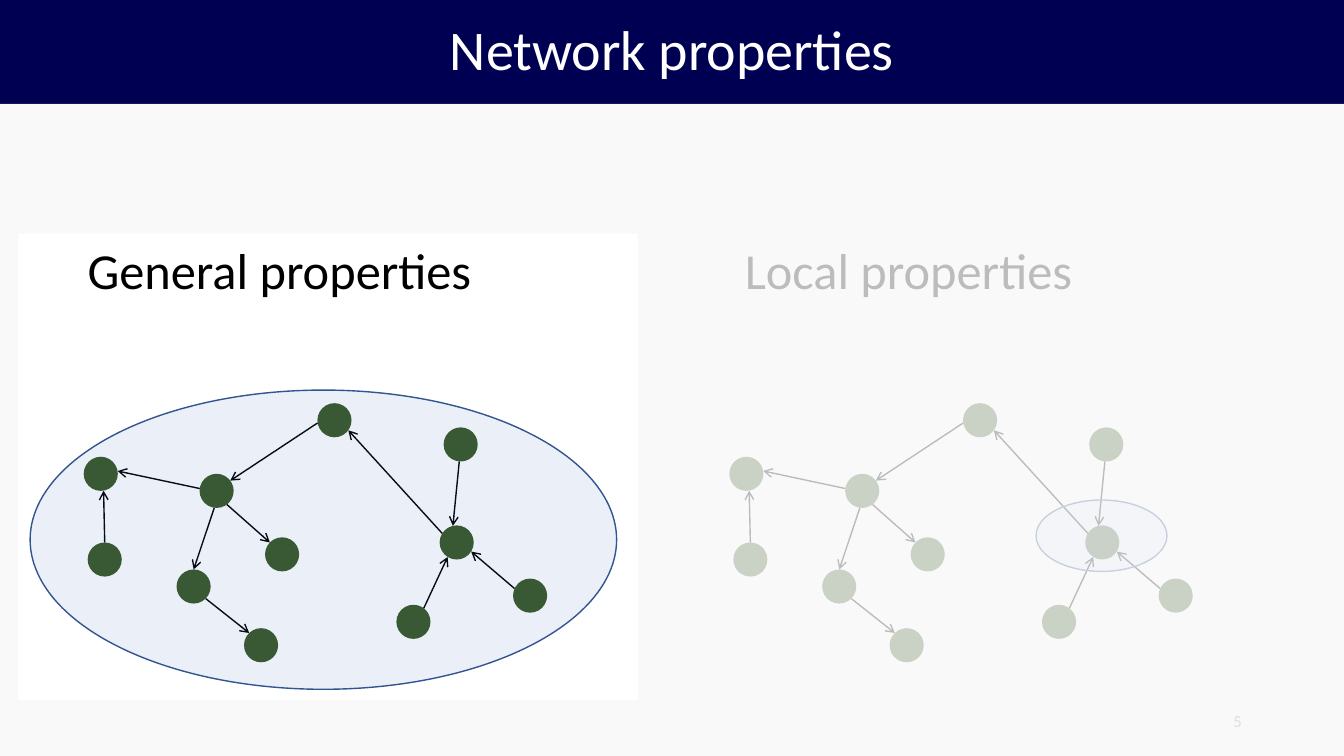
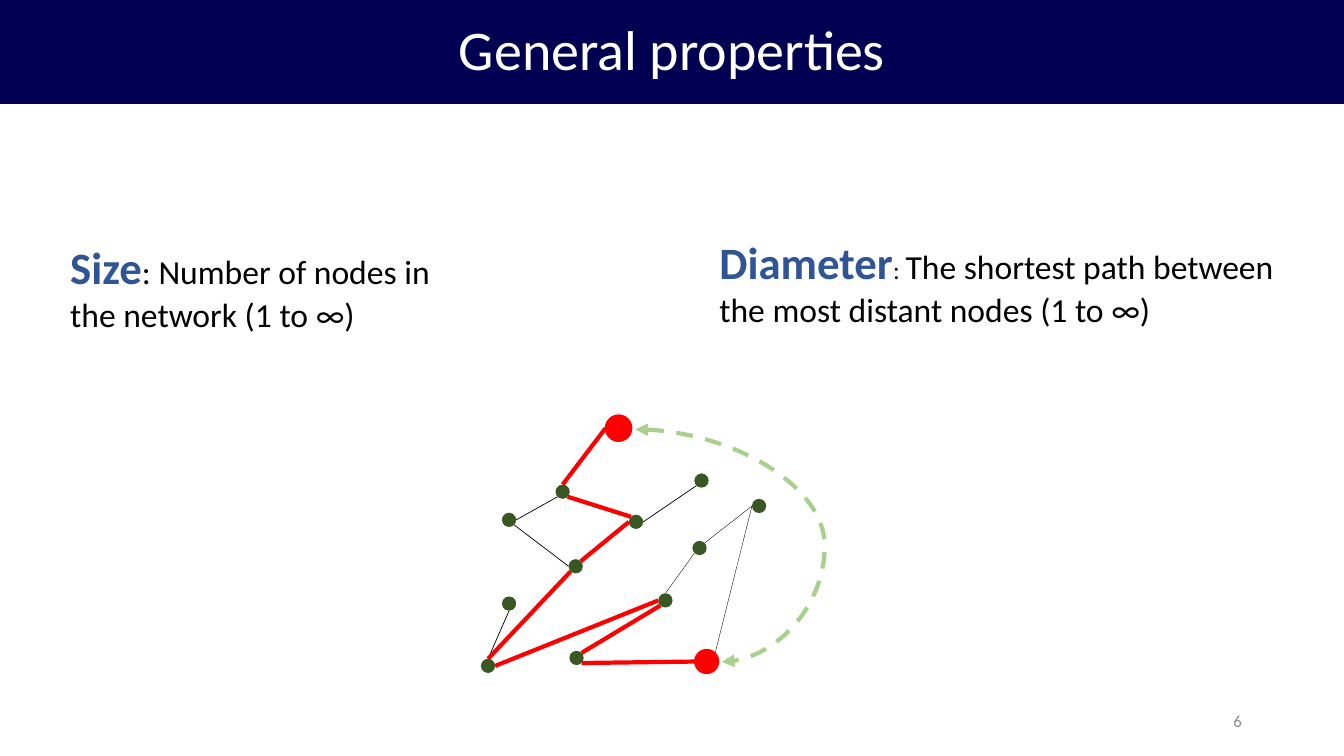
from math import atan2, cos, degrees, radians, sin

from lxml import etree
from pptx import Presentation
from pptx.dml.color import RGBColor
from pptx.enum.dml import MSO_LINE
from pptx.enum.shapes import MSO_CONNECTOR, MSO_SHAPE
from pptx.enum.text import MSO_ANCHOR, PP_ALIGN
from pptx.oxml.ns import qn
from pptx.util import Cm, Pt

OVAL = MSO_SHAPE.OVAL
STRAIGHT, CURVE = MSO_CONNECTOR.STRAIGHT, MSO_CONNECTOR.CURVE
LEFT, CENTER, RIGHT = PP_ALIGN.LEFT, PP_ALIGN.CENTER, PP_ALIGN.RIGHT
TOP, MIDDLE = MSO_ANCHOR.TOP, MSO_ANCHOR.MIDDLE
DASH = MSO_LINE.DASH

COLORS = {
    "band": "000053", "white": "FFFFFF", "black": "000000", "node": "385723",
    "term": "2F5597", "number": "8C8C8C", "path": "FF0000", "arc": "A9D18E",
    "halo": "4472C4", "halo_line": "325491", "veil": "F8F8F8",
}
FONT = "Calibri"
PAGE_WIDTH, PAGE_HEIGHT, BAND_HEIGHT = 33.87, 19.05, 2.62
TITLE_ONLY = 5

# Directed network: centre x, centre y, rotation in degrees
NODE_RADIUS = 0.43
DIRECTED_NODES = {
    "west": (0.43, 1.78, -9.5), "southwest": (0.53, 3.94, 0),
    "left hub": (3.35, 2.21, 53), "below": (2.77, 4.62, 0),
    "bottom": (4.47, 6.1, 315.8), "inner": (5, 3.81, 314.1),
    "summit": (6.32, 0.43, 261), "right hub": (9.4, 3.51, 347.1),
    "south": (8.31, 5.51, 307.2), "north": (9.5, 1.04, 4.7),
    "east": (11.25, 4.85, 24.5),
}
DIRECTED_EDGES = [
    ("left hub", "west"), ("southwest", "west"), ("left hub", "below"),
    ("left hub", "inner"), ("summit", "left hub"), ("below", "bottom"),
    ("right hub", "summit"), ("south", "right hub"), ("north", "right hub"),
    ("east", "right hub"),
]

# Undirected network: centre x, centre y, radius
DOT, START, END = 0.18, 0.33, 0.3
PATH_NODES = {
    "start": (3.47, 0.33, START), "a": (2.06, 1.93, DOT), "b": (3.91, 2.69, DOT),
    "c": (2.39, 3.81, DOT), "d": (0.18, 6.32, DOT), "e": (4.65, 4.67, DOT),
    "f": (2.41, 6.12, DOT), "end": (5.69, 6.21, END), "g": (0.71, 2.64, DOT),
    "h": (0.71, 4.75, DOT), "i": (5.51, 3.35, DOT), "j": (7.01, 2.29, DOT),
    "k": (5.56, 1.65, DOT),
}
SITES = {"E": 0, "SE": 45, "S": 90, "SW": 135, "W": 180, "NW": 225, "N": 270, "NE": 315}
# Each edge joins a site of one node to a site of another
LINK_GROUPS = [
    ("black", 0.25, [("e", "N", "i", "SW"), ("i", "NE", "j", "W"), ("end", "NE", "j", "W")]),
    ("black", 0.5, [("c", "W", "g", "SE"), ("b", "E", "k", "SW"), ("d", "N", "h", "S"),
                    ("g", "E", "a", "SW")]),
    ("path", 3, [("a", "N", "start", "W"), ("b", "NW", "a", "SE"), ("c", "NE", "b", "W"),
                 ("d", "N", "c", "SW"), ("d", "E", "e", "W"), ("f", "NE", "e", "SW"),
                 ("f", "SE", "end", "W")]),
]


def rgb(name):
    return RGBColor.from_string(COLORS[name])


def write(frame, spans, align=LEFT, anchor=TOP, wrap=True, spacing=None):
    """Fill a text frame with one paragraph of (text, size, color, bold) spans."""
    frame.word_wrap = wrap
    frame.vertical_anchor = anchor
    para = frame.paragraphs[0]
    para.alignment = align
    para.line_spacing = spacing
    for text, size, color, bold in spans:
        span = para.add_run()
        span.text = text
        span.font.name = FONT
        span.font.size = Pt(size)
        span.font.bold = bold
        span.font.color.rgb = rgb(color)


def add_text(page, box, spans, **text_format):
    shape = page.shapes.add_textbox(*map(Cm, box))
    write(shape.text_frame, spans, **text_format)


def paint(shape, fill, line=None, opacity=None):
    shape.shadow.inherit = False
    shape.fill.solid()
    shape.fill.fore_color.rgb = rgb(fill)
    if opacity:
        color = shape.element.spPr.find(qn("a:solidFill"))[0]
        etree.SubElement(color, qn("a:alpha"), val=str(opacity * 1000))
    if line:
        shape.line.color.rgb = rgb(line)
        shape.line.width = Pt(1)
    else:
        shape.line.fill.background()


def add_disc(shapes, center, radius, fill, line=None):
    x, y = center
    disc = shapes.add_shape(OVAL, *map(Cm, (x - radius, y - radius, 2 * radius, 2 * radius)))
    paint(disc, fill, line)


def add_link(shapes, start, end, color="black", width=1, kind=STRAIGHT,
             head=None, tail=None, dash=None):
    link = shapes.add_connector(kind, *map(Cm, (*start, *end)))
    link.line.color.rgb = rgb(color)
    link.line.width = Pt(width)
    if dash:
        link.line.dash_style = dash
    outline = link.line._get_or_add_ln()
    for tag, arrow in (("a:headEnd", head), ("a:tailEnd", tail)):
        if arrow:
            etree.SubElement(outline, qn(tag), type=arrow)
    etree.SubElement(link.element.spPr, qn("a:effectLst"))
    return link


def rim_point(center, radius, angle):
    turn = radians(angle)
    return center[0] + radius * cos(turn), center[1] + radius * sin(turn)


def nearest_site(center, rotation, target):
    """Return the connection site, one every 45 degrees, that best faces the target."""
    facing = degrees(atan2(target[1] - center[1], target[0] - center[0]))
    angle = rotation + 45 * round((facing - rotation) / 45)
    return rim_point(center, NODE_RADIUS, angle)


def shift(box, point):
    return box[0] + point[0], box[1] + point[1]


def add_page(deck, title, number):
    page = deck.slides.add_slide(deck.slide_layouts[TITLE_ONLY])
    band = page.shapes.title
    band.left, band.top, band.width, band.height = map(Cm, (0, 0, PAGE_WIDTH, BAND_HEIGHT))
    band.fill.solid()
    band.fill.fore_color.rgb = rgb("band")
    write(band.text_frame, [(title, 40, "white", False)], align=CENTER, anchor=MIDDLE,
          spacing=0.9)
    add_text(page, (23.93, 17.65, 7.62, 1.02), [(str(number), 12, "number", False)],
             align=RIGHT, anchor=MIDDLE)
    return page


def add_directed_network(page, box):
    shapes = page.shapes.add_group_shape().shapes
    centers = {name: shift(box, node) for name, node in DIRECTED_NODES.items()}
    for center in centers.values():
        add_disc(shapes, center, NODE_RADIUS, "node")
    for source, target in DIRECTED_EDGES:
        start, end = (
            nearest_site(centers[near], DIRECTED_NODES[near][2], centers[far])
            for near, far in ((source, target), (target, source))
        )
        add_link(shapes, start, end, tail="arrow")


def add_property_panel(page, box, heading, heading_box, halo):
    """Place a heading, a network and a halo given relative to the network box."""
    add_text(page, heading_box, [(heading, 36, "black", False)], wrap=False)
    add_directed_network(page, box)
    place = (*shift(box, halo), *halo[2:])
    paint(page.shapes.add_shape(OVAL, *map(Cm, place)), "halo", "halo_line", opacity=11)


def add_veil(page, window):
    """Cover the page below the band, leaving the window open."""
    left, top, right, bottom = map(Cm, window)
    band_edge, page_right, page_bottom = map(Cm, (BAND_HEIGHT, PAGE_WIDTH, PAGE_HEIGHT))
    outline = page.shapes.build_freeform(left, top, scale=1.0)
    outline.add_line_segments([(left, bottom), (right, bottom), (right, top)], close=True)
    outline.move_to(0, band_edge)
    outline.add_line_segments(
        [(page_right, band_edge), (page_right, page_bottom), (0, page_bottom)], close=True)
    paint(outline.convert_to_shape(), "veil", opacity=76)


def add_path_network(page, box):
    shapes = page.shapes.add_group_shape().shapes
    for x, y, radius in PATH_NODES.values():
        ends_path = radius != DOT
        add_disc(shapes, shift(box, (x, y)), radius, "path" if ends_path else "node",
                 "path" if ends_path else None)
    for color, width, links in LINK_GROUPS:
        for source, source_site, target, target_site in links:
            start, end = (
                rim_point(shift(box, PATH_NODES[name]), PATH_NODES[name][2], SITES[site])
                for name, site in ((source, source_site), (target, target_site))
            )
            add_link(shapes, start, end, color, width)
    arc = add_link(shapes, shift(box, (3.89, 0.36)), shift(box, (6.07, 6.22)), "arc", 3,
                   kind=CURVE, head="triangle", tail="triangle", dash=DASH)
    geometry = arc.element.spPr.find(qn("a:prstGeom"))
    guides = geometry.find(qn("a:avLst"))
    if guides is None:
        guides = etree.SubElement(geometry, qn("a:avLst"))
    etree.SubElement(guides, qn("a:gd"), name="adj1", fmla="val 219000")


def build_network_page(deck):
    page = add_page(deck, "Network properties", 5)
    add_property_panel(page, (2.11, 10.16), "General properties", (1.96, 5.89, 10.29, 1.8),
                       halo=(-1.35, -0.33, 14.78, 7.54))
    add_property_panel(page, (18.38, 10.16), "Local properties", (18.52, 5.89, 8.84, 1.8),
                       halo=(7.73, 2.44, 3.3, 1.8))
    add_veil(page, (0.46, 5.89, 16.08, 17.65))


def build_general_page(deck):
    page = add_page(deck, "General properties", 6)
    add_text(page, (1.52, 5.92, 10.62, 2.64), [
        ("Size", 32, "term", True),
        (": Number of nodes in the network (1 to ∞)", 24, "black", False),
    ])
    add_text(page, (17.88, 5.79, 14.48, 2.64), [
        ("Diameter", 32, "term", True),
        (": ", 18, "black", False),
        ("The shortest path between the most distant nodes (1 to ∞)", 24, "black", False),
    ])
    add_path_network(page, (12.12, 10.46))


def main():
    deck = Presentation()
    deck.slide_width, deck.slide_height = Cm(PAGE_WIDTH), Cm(PAGE_HEIGHT)
    build_network_page(deck)
    build_general_page(deck)
    deck.save("out.pptx")


if __name__ == "__main__":
    main()
